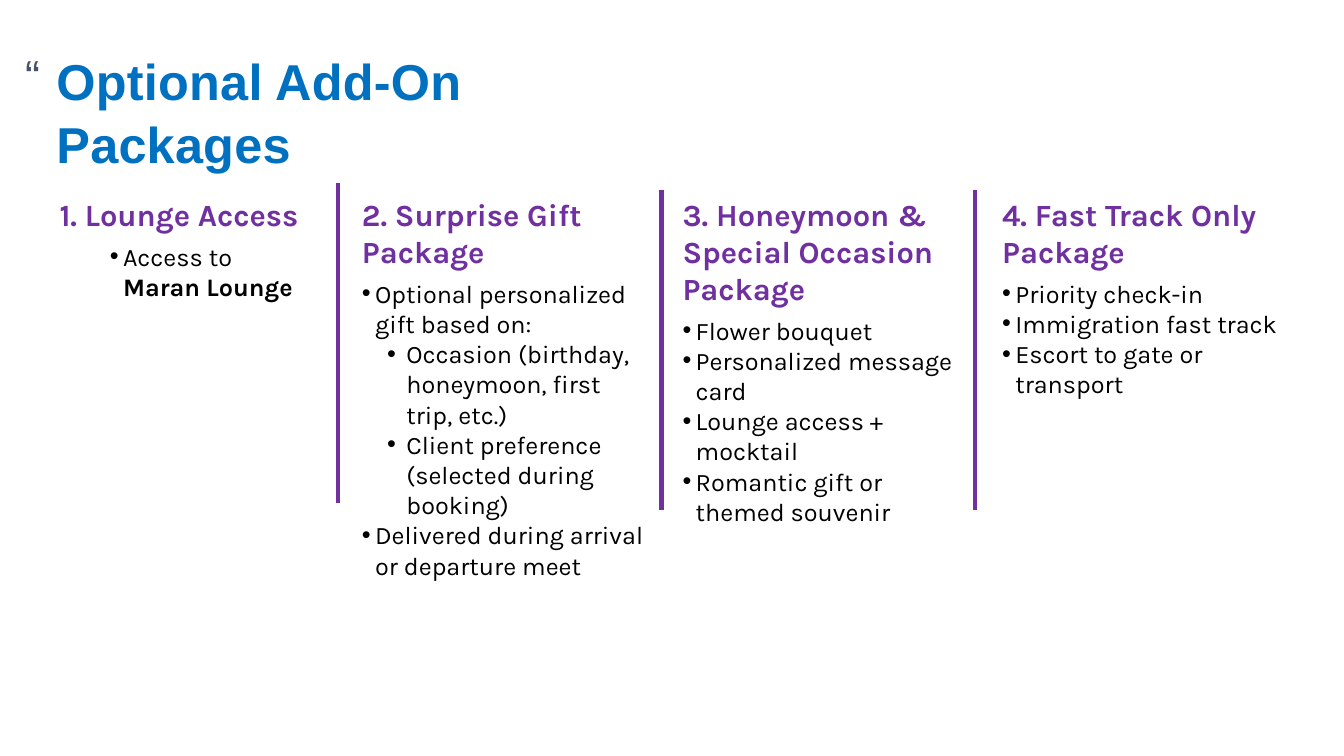
"""Build the slide of optional add-on packages in four columns."""
from dataclasses import dataclass

from lxml.etree import SubElement
from pptx import Presentation
from pptx.dml.color import RGBColor
from pptx.enum.shapes import MSO_CONNECTOR as Connector
from pptx.enum.text import MSO_ANCHOR as Anchor, MSO_AUTO_SIZE as AutoSize, PP_ALIGN as Align
from pptx.oxml.ns import qn
from pptx.util import Inches, Pt

BLUE, PURPLE, SLATE, BLACK = "0070C0", "7030A0", "44546A", "000000"
COLUMN_TOP = 1.89
DIVIDER_LENGTH = 3.17


@dataclass(frozen=True)
class Item:
    text: str
    bold_text: str = ""
    level: int = 0
    margin: float = 0.13
    hanging: float = 0.13


@dataclass(frozen=True)
class Package:
    heading: str
    left: float
    width: float
    height: float
    items: tuple[Item, ...]


@dataclass(frozen=True)
class Divider:
    x: float
    top: float = COLUMN_TOP


def detail(text: str) -> Item:
    return Item(text, level=1, margin=0.44, hanging=0.19)


PACKAGES = (
    Package("1. Lounge Access", 0.49, 2.7, 1.16, (
        Item("Access to ", "Maran Lounge", level=1, margin=0.63),
    )),
    Package("2. Surprise Gift Package", 3.49, 3, 3.95, (
        Item("Optional personalized gift based on:"),
        detail("Occasion (birthday, honeymoon, first trip, etc.)"),
        detail("Client preference (selected during booking)"),
        Item("Delivered during arrival or departure meet"),
    )),
    Package("3. Honeymoon & Special Occasion Package", 6.67, 3, 3.42, (
        Item("Flower bouquet"),
        Item("Personalized message card"),
        Item("Lounge access + mocktail"),
        Item("Romantic gift or themed souvenir"),
    )),
    Package("4. Fast Track Only Package", 9.84, 3.26, 1.83, (
        Item("Priority check-in"),
        Item("Immigration fast track"),
        Item("Escort to gate or transport"),
    )),
)
DIVIDERS = (Divider(3.35, top=1.82), Divider(6.56), Divider(9.67))


def color(value: str) -> RGBColor:
    return RGBColor.from_string(value)


def place(shape, left: float, top: float, width: float, height: float) -> None:
    shape.left, shape.top = Inches(left), Inches(top)
    shape.width, shape.height = Inches(width), Inches(height)


def prepare(frame, auto_size=AutoSize.SHAPE_TO_FIT_TEXT) -> None:
    frame.word_wrap = True
    frame.auto_size = auto_size
    frame.vertical_anchor = Anchor.TOP


def add_run(paragraph, text: str, size: float, fill: str, bold: bool = False, face: str = "Karla"):
    run = paragraph.add_run()
    run.text = text
    run.font.name, run.font.size, run.font.bold = face, Pt(size), bold
    run.font.color.rgb = color(fill)
    return run


def set_bullet(paragraph, margin: float, hanging: float, bullet: str = "") -> None:
    properties = paragraph._p.get_or_add_pPr()
    properties.set("marL", str(Inches(margin)))
    properties.set("indent", str(-Inches(hanging)))
    if bullet:
        SubElement(properties, qn("a:buFont"), typeface="Arial")
        SubElement(properties, qn("a:buChar"), char=bullet)
    else:
        SubElement(properties, qn("a:buNone"))


def space(paragraph, after: float = 0) -> None:
    paragraph.alignment = Align.LEFT
    paragraph.space_before, paragraph.space_after = Pt(0), Pt(after)


def add_quote_mark(slide) -> None:
    quote = slide.shapes.add_textbox(Inches(0.25), Inches(0.56), Inches(0.27), Inches(0.74))
    frame = quote.text_frame
    prepare(frame, AutoSize.NONE)
    frame.margin_left = frame.margin_right = frame.margin_top = frame.margin_bottom = 0
    paragraph = frame.paragraphs[0]
    paragraph.line_spacing = Pt(32)
    add_run(paragraph, "“", 32, SLATE, face="Arial")


def fill_title(title) -> None:
    place(title, 0.46, 0.42, 6.6, 0.71)
    prepare(title.text_frame)
    paragraph = title.text_frame.paragraphs[0]
    space(paragraph)
    paragraph.line_spacing = 1.04
    run = add_run(paragraph, "Optional Add-On Packages", 36, BLUE, bold=True, face="Arial")
    run._r.get_or_add_rPr().set("spc", "20")


def fill_package(body, package: Package) -> None:
    place(body, package.left, COLUMN_TOP, package.width, package.height)
    frame = body.text_frame
    prepare(frame)
    heading = frame.paragraphs[0]
    set_bullet(heading, 0, 0)
    space(heading, after=6)
    add_run(heading, package.heading, 22, PURPLE, bold=True)
    for item in package.items:
        paragraph = frame.add_paragraph()
        paragraph.level = item.level
        set_bullet(paragraph, item.margin, item.hanging, "•")
        space(paragraph)
        add_run(paragraph, item.text, 18, BLACK)
        if item.bold_text:
            add_run(paragraph, item.bold_text, 18, BLACK, bold=True)


def add_divider(slide, divider: Divider) -> None:
    x, top = Inches(divider.x), Inches(divider.top)
    line = slide.shapes.add_connector(Connector.STRAIGHT, x, top, x, top + Inches(DIVIDER_LENGTH))
    line.line.color.rgb = color(PURPLE)
    line.line.width = Pt(3)
    SubElement(line._element.spPr, qn("a:effectLst"))


def main() -> None:
    deck = Presentation()
    deck.slide_width, deck.slide_height = Inches(13.33), Inches(7.5)
    slide = deck.slides.add_slide(deck.slide_layouts.get_by_name("Comparison"))
    title, *bodies = slide.placeholders
    add_quote_mark(slide)
    fill_title(title)
    for body, package in zip(bodies, PACKAGES):
        fill_package(body, package)
    for divider in DIVIDERS:
        add_divider(slide, divider)
    deck.save("out.pptx")


if __name__ == "__main__":
    main()
